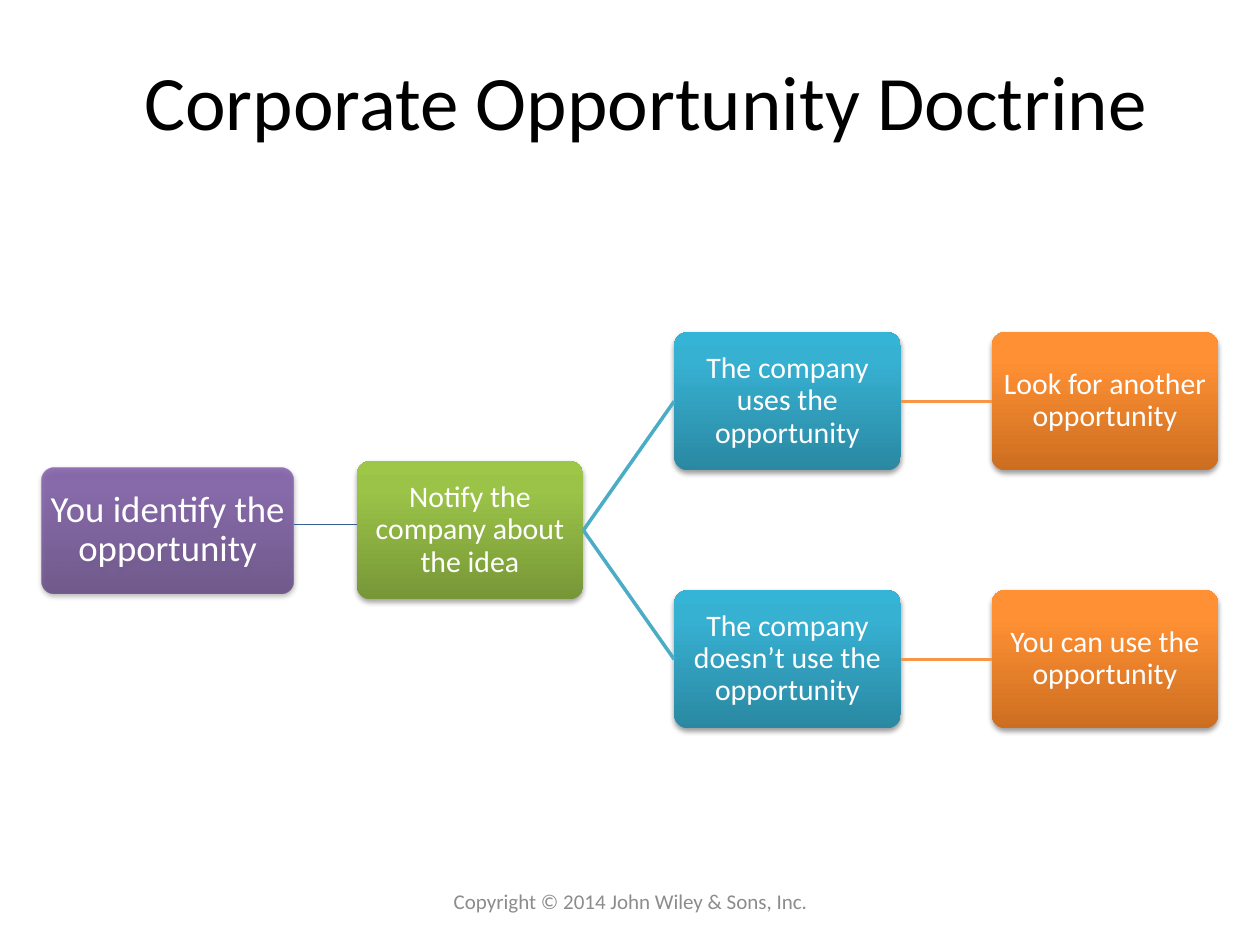
from dataclasses import dataclass

from lxml.etree import SubElement
from pptx import Presentation
from pptx.dml.color import RGBColor as RGB
from pptx.enum.shapes import MSO_CONNECTOR as CONN, MSO_SHAPE as SHAPE
from pptx.enum.text import MSO_ANCHOR as ANCHOR, PP_ALIGN as ALIGN
from pptx.oxml.ns import qn
from pptx.util import Cm, Pt


@dataclass(frozen=True)
class Theme:
    font: str = "Calibri"
    title: int = 44
    lead: int = 21
    body: int = 17
    footer: int = 12
    ink: str = "000000"
    light: str = "FFFFFF"
    muted: str = "8C8C8C"
    purple: tuple = ("5F4480", "7B58A6", "7C57A8")
    green: tuple = ("779737", "9BC348", "9DC746")
    teal: tuple = ("2A88A2", "37B1D2", "34B4D6")
    orange: tuple = ("CC6E20", "FF9034", "FF9136")
    navy_line: str = "376092"
    teal_line: str = "4BACC6"
    orange_line: str = "F79646"


def write(sp, text, *, font, size, color, spacing=1.0, inset=None):
    tf = sp.text_frame
    tf.word_wrap = True
    tf.vertical_anchor = ANCHOR.MIDDLE
    if inset is not None:
        tf.margin_left = tf.margin_right = inset
        tf.margin_top = tf.margin_bottom = inset
    p = tf.paragraphs[0]
    p.alignment = ALIGN.CENTER
    p.line_spacing = spacing
    r = p.add_run()
    r.text = text
    r.font.name, r.font.size = font, Pt(size)
    r.font.color.rgb = RGB.from_string(color)


def add_color(parent, color, opacity):
    clr = SubElement(parent, qn("a:srgbClr"), val=color)
    if opacity < 100:
        SubElement(clr, qn("a:alpha"), val=str(opacity * 1000))


class Deck:
    def __init__(self, theme):
        self.theme = theme
        self.prs = Presentation()
        self.prs.slide_width, self.prs.slide_height = Cm(25.4), Cm(19.05)
        self.s = self.prs.slides.add_slide(self.prs.slide_layouts[6])

    def label(self, text, x, y, w, h, size, color):
        sp = self.s.shapes.add_textbox(Cm(x), Cm(y), Cm(w), Cm(h))
        write(sp, text, font=self.theme.font, size=size, color=color)

    def box(self, text, x, mid_y, colors, w=4.57, h=2.79, size=None,
            opacity=100, shadow=(38, 1.6)):
        sp = self.s.shapes.add_shape(
            SHAPE.ROUNDED_RECTANGLE, Cm(x), Cm(mid_y - h / 2), Cm(w), Cm(h))
        sp.adjustments[0] = 0.1
        sp.line.fill.background()
        self.shade(sp, colors, opacity)
        self.drop_shadow(sp, *shadow)
        write(sp, text, font=self.theme.font, size=size or self.theme.body,
              color=self.theme.light, spacing=0.9, inset=Cm(0.03))
        return sp

    def shade(self, sp, colors, opacity):
        sp.fill.gradient()
        sp.fill.gradient_angle = 90
        stops = sp._element.spPr.find(qn("a:gradFill")).find(qn("a:gsLst"))
        stops.clear()
        for pos, color in zip((0, 80, 100), colors):
            stop = SubElement(stops, qn("a:gs"), pos=str(pos * 1000))
            add_color(stop, color, opacity)

    def drop_shadow(self, sp, opacity, distance):
        sp.shadow.inherit = False
        effects = sp._element.spPr.find(qn("a:effectLst"))
        outer = SubElement(
            effects, qn("a:outerShdw"), blurRad=str(Pt(3.1)),
            dist=str(Pt(distance)), dir="5400000", rotWithShape="0")
        add_color(outer, self.theme.ink, opacity)

    def line(self, x1, y1, x2, y2, color, width):
        cx = self.s.shapes.add_connector(CONN.STRAIGHT, x1, y1, x2, y2)
        cx.line.color.rgb = RGB.from_string(color)
        cx.line.width = Pt(width)
        SubElement(cx._element.spPr, qn("a:effectLst"))
        return cx

    def join(self, left, right, color):
        cx = self.line(0, 0, 0, 0, color, 2)
        cx.begin_connect(left, 3)
        cx.end_connect(right, 1)


def main():
    t = Theme()
    d = Deck(t)
    d.label("Corporate Opportunity Doctrine", 1.7, 0.64, 22.66, 2.74,
            t.title, t.ink)

    mid_y, branch_gap = 10.69, 2.6
    notify_x, company_x, result_x = (7.19 + 6.4 * i for i in range(3))
    notify = d.box("Notify the company about the idea", notify_x, mid_y,
                   t.green, shadow=(35, 1.8))
    branches = (
        (-1, "The company uses the opportunity", "Look for another opportunity"),
        (1, "The company doesn’t use the opportunity",
         "You can use the opportunity"),
    )
    for side, choice, outcome in branches:
        y = mid_y + side * branch_gap
        company = d.box(choice, company_x, y, t.teal)
        result = d.box(outcome, result_x, y, t.orange)
        d.join(notify, company, t.teal_line)
        d.join(company, result, t.orange_line)

    identify = d.box("You identify the opportunity", 0.84, mid_y, t.purple,
                     w=5.08, h=2.54, size=t.lead, opacity=80, shadow=(35, 1.8))
    d.line(identify.left + identify.width, Cm(10.58), notify.left, Cm(10.58),
           t.navy_line, 0.75)

    d.label("Copyright © 2014 John Wiley & Sons, Inc.", 8.69, 17.65, 8.05, 1.02,
            t.footer, t.muted)
    d.prs.save("out.pptx")


if __name__ == "__main__":
    main()
